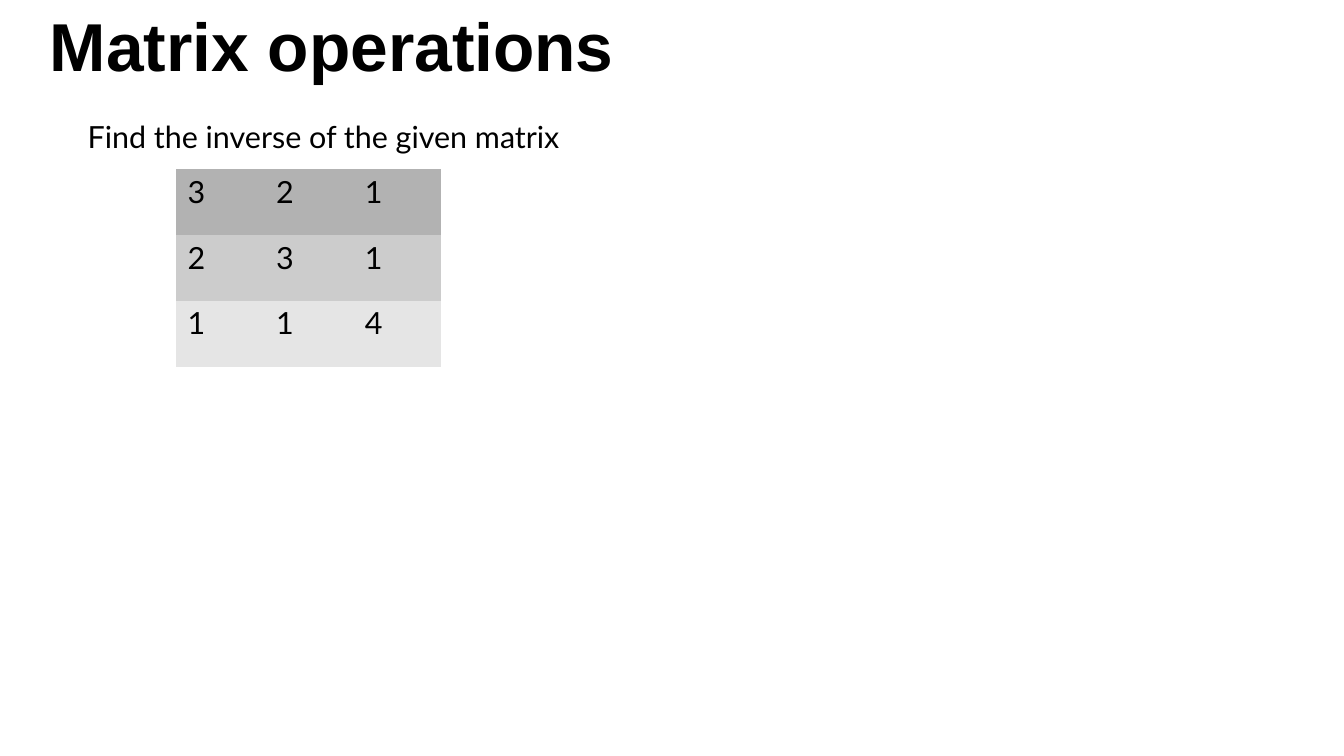
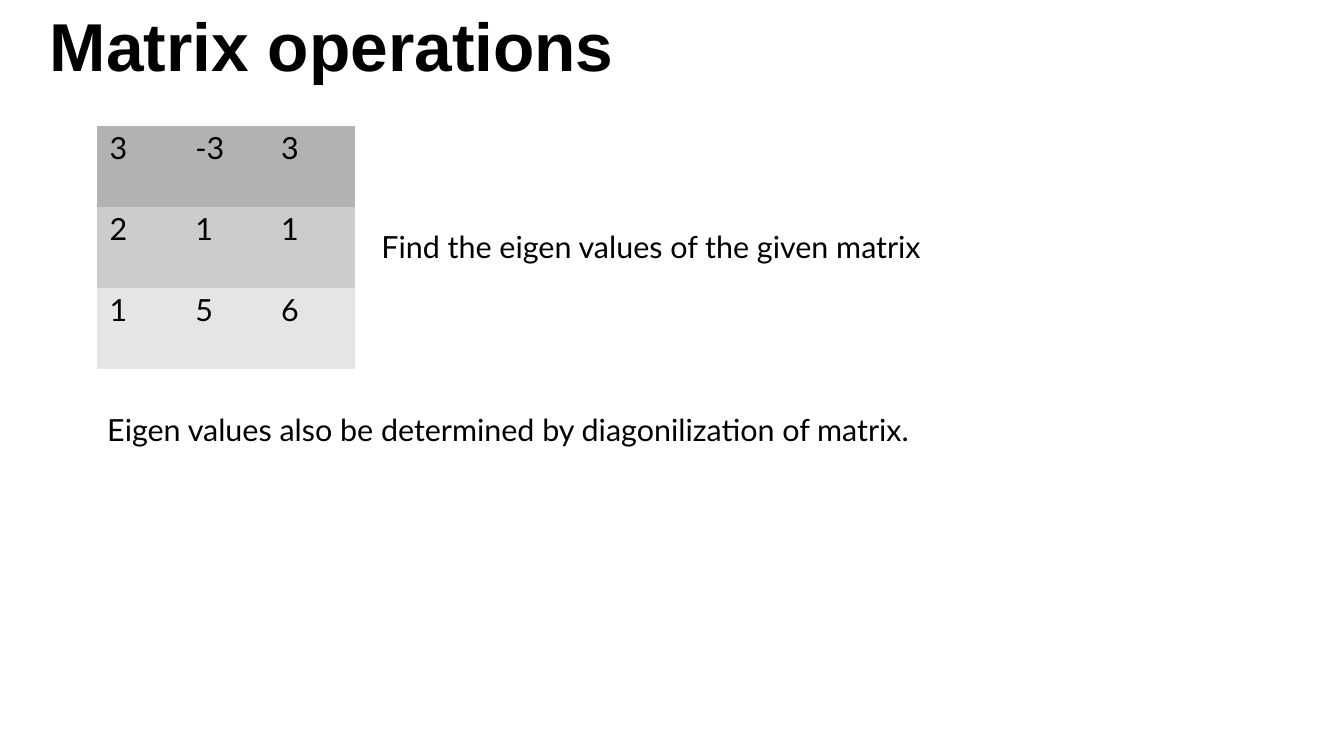
"""Build two slides of matrix exercises with a shared title style."""
from pptx import Presentation
from pptx.dml.color import RGBColor
from pptx.enum.text import MSO_ANCHOR, MSO_AUTO_SIZE, PP_ALIGN
from pptx.oxml.ns import qn
from pptx.util import Inches, Pt

SLIDE_SIZE = (794, 446.5)
TITLE = "Matrix operations"
TITLE_AREA = (0.4, 0.02, 4.65, 0.69)
BLACK = "000000"
ROW_FILLS = ("B2B2B2", "CCCCCC", "E5E5E5")
PLAIN_TABLE_STYLE = "{2D5ABB26-0587-4C30-8999-92F81FD0307C}"

SLIDES = [
    {
        "matrix": [(3, 2, 1), (2, 3, 1), (1, 1, 4)],
        "area": (1.44, 1.39, 2.18, 1.62),
        "texts": [("Find the inverse of the given matrix", (0.71, 0.96, 3.91, 0.33))],
    },
    {
        "matrix": [(3, -3, 3), (2, 1, 1), (1, 5, 6)],
        "area": (0.8, 1.03, 2.11, 2),
        "texts": [
            ("Find the eigen values of the given matrix", (3.12, 1.86, 4.51, 0.33)),
            ("Eigen values also be determined by diagonilization of matrix.",
             (0.87, 3.36, 6.72, 0.33)),
        ],
    },
]


def color(value):
    return RGBColor.from_string(value)


def style_text(paragraph, size, name, bold=False):
    paragraph.alignment = PP_ALIGN.LEFT
    font = paragraph.font
    font.size, font.name, font.bold = Pt(size), name, bold
    font.color.rgb = color(BLACK)


def fill_frame(frame, text, size, name, bold=False):
    frame.text = text
    frame.word_wrap = True
    frame.auto_size = MSO_AUTO_SIZE.NONE
    frame.vertical_anchor = MSO_ANCHOR.TOP
    frame.margin_left = frame.margin_top = Inches(0.01)
    frame.margin_right = frame.margin_bottom = 0
    style_text(frame.paragraphs[0], size, name, bold)


def add_title(page):
    title = page.shapes.title
    title.left, title.top, title.width, title.height = map(Inches, TITLE_AREA)
    fill_frame(title.text_frame, TITLE, 40, "Arial", bold=True)


def add_text(page, text, area):
    box = page.shapes.add_textbox(*map(Inches, area))
    fill_frame(box.text_frame, text, 18, "Lato")


def add_matrix(page, matrix, area):
    frame = page.shapes.add_table(len(matrix), len(matrix[0]), *map(Inches, area))
    table = frame.table
    table.first_row = table.horz_banding = False
    next(frame.element.iter(qn("a:tableStyleId"))).text = PLAIN_TABLE_STYLE
    for row, (values, fill) in enumerate(zip(matrix, ROW_FILLS)):
        for column, value in enumerate(values):
            cell = table.cell(row, column)
            cell.text = str(value)
            cell.fill.solid()
            cell.fill.fore_color.rgb = color(fill)
            cell.margin_left = Inches(0.1)
            cell.margin_top = Inches(0.03)
            cell.margin_right = cell.margin_bottom = 0
            style_text(cell.text_frame.paragraphs[0], 18, "Lato")


def main():
    deck = Presentation()
    deck.slide_width, deck.slide_height = map(Pt, SLIDE_SIZE)
    title_only = deck.slide_layouts[5]
    for content in SLIDES:
        page = deck.slides.add_slide(title_only)
        add_title(page)
        add_matrix(page, content["matrix"], content["area"])
        for text, area in content["texts"]:
            add_text(page, text, area)
    deck.save("out.pptx")


if __name__ == "__main__":
    main()
